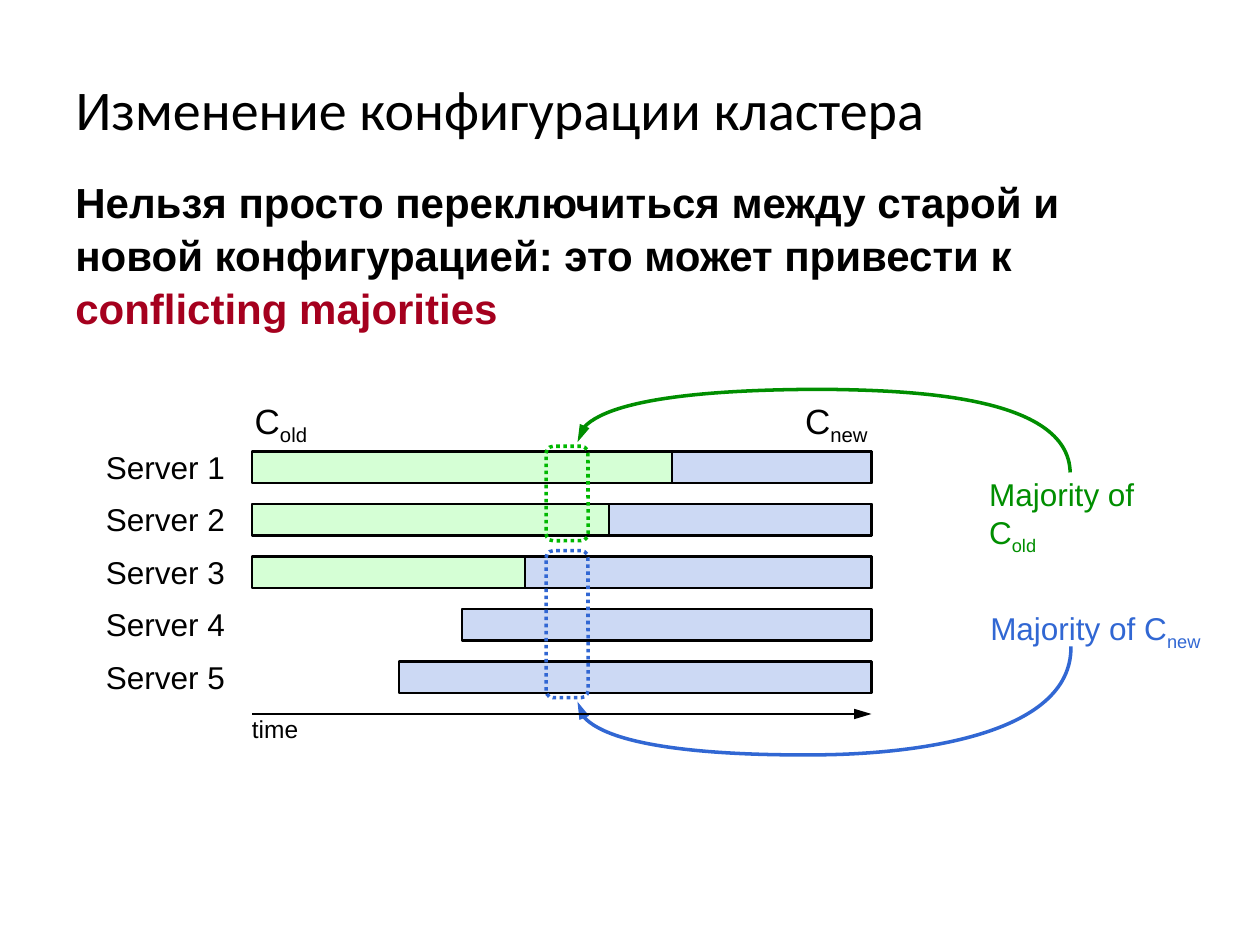
"""Build the slide on changing a cluster configuration."""
from pptx import Presentation
from pptx.dml.color import RGBColor as Rgb
from pptx.enum.dml import MSO_LINE as Dash
from pptx.enum.shapes import MSO_CONNECTOR as Link, MSO_SHAPE as Form
from pptx.enum.text import MSO_ANCHOR as Anchor, PP_ALIGN as Align
from pptx.oxml.ns import qn
from pptx.util import Pt
from lxml.etree import SubElement as Sub

HUES = {
    "black": "000000", "red": "A5001E", "mint": "D5FFD5", "pale": "CCD9F4",
    "blue": "3167D3", "lime": "00B800", "green": "008E00",
}
TITLE = "Изменение конфигурации кластера"
LEAD = [
    ("Нельзя просто переключиться между старой и новой конфигурацией: "
     "это может привести к ", "black"),
    ("conflicting majorities", "red"),
]
SERVERS = [
    ("Server 1", 384, True), ("Server 2", 348, True), ("Server 3", 300, True),
    ("Server 4", 264, False), ("Server 5", 228, False),
]
LABELS = [
    ("C", "old", (145.5, 228, 32, 27), 20, "black", False),
    ("C", "new", (460, 228, 38, 27), 20, "black", False),
    ("Majority of C", "old", (565.2, 271.5, 95, 46), 18, "green", True),
    ("Majority of C", "new", (565.9, 348, 122, 25), 18, "blue", False),
    ("time", "", (144, 408, 30, 17), 14, "black", False),
]
RINGS = [((312, 314.7, 24, 84), "blue"), ((312, 255, 24, 54), "lime")]
CURVES = [
    ("green", (611.5, 270), [
        [(610.6, 226), (520.5, 223.2), (471.6, 222.5)],
        [(423.4, 222.5), (330, 226), (330, 252.7)]]),
    ("blue", (612, 369.4), [
        [(612.7, 421), (520.5, 430.5), (471.6, 431.3)],
        [(422, 432), (330, 428.4), (330, 401)]]),
]
LEFT, RIGHT, TOP, STEP, THICK = 144, 498, 258, 30, 18
FLAT = dict.fromkeys(
    ("margin_left", "margin_top", "margin_right", "margin_bottom"), 0)


def apply(obj, **vals):
    for key, val in vals.items():
        setattr(obj, key, val)


def hue(name):
    return Rgb.from_string(HUES[name])


def write(para, text, size, tint, face="Arial", bold=False, low=False):
    run = para.add_run()
    run.text = text
    apply(run.font, name=face, size=Pt(size), bold=bold)
    run.font.color.rgb = hue(tint)
    if low:
        run._r.get_or_add_rPr().set("baseline", "-25000")


def stroke(shape, tint, width, arrow=False):
    shape.line.color.rgb = hue(tint)
    shape.line.width = Pt(width)
    if arrow:
        Sub(shape.line._get_or_add_ln(), qn("a:tailEnd"),
            type="triangle", w="med", len="lg")


def draw(shapes, form, box, tint, width, fill=None):
    shape = shapes.add_shape(form, *map(Pt, box))
    shape.shadow.inherit = False
    stroke(shape, tint, width)
    if fill:
        shape.fill.solid()
        shape.fill.fore_color.rgb = hue(fill)
    else:
        shape.fill.background()
    return shape


def label(shapes, text, sub, box, size, tint, wrap=False):
    frame = shapes.add_textbox(*map(Pt, box)).text_frame
    apply(frame, word_wrap=wrap, **FLAT)
    write(frame.paragraphs[0], text, size, tint)
    if sub:
        write(frame.paragraphs[0], sub, size, tint, low=True)


def curve(shapes, tint, start, parts):
    pen = shapes.build_freeform(*map(Pt, start))
    pen.add_line_segments([tuple(map(Pt, part[-1])) for part in parts],
                          close=False)
    shape = pen.convert_to_shape()
    shape.shadow.inherit = False
    shape.fill.background()
    stroke(shape, tint, 2, True)
    for seg, part in zip(list(shape._element.iter(qn("a:lnTo"))), parts):
        bend = seg.makeelement(qn("a:cubicBezTo"), {})
        for x, y in part:
            Sub(bend, qn("a:pt"), x=str(Pt(x) - shape.left),
                y=str(Pt(y) - shape.top))
        seg.getparent().replace(seg, bend)


def main():
    deck = Presentation()
    apply(deck, slide_width=Pt(720), slide_height=Pt(540))
    slide = deck.slides.add_slide(deck.slide_layouts[5])
    shapes = slide.shapes

    head = shapes.title
    apply(head, left=Pt(36), top=Pt(38), width=Pt(648), height=Pt(48))
    head.text_frame.vertical_anchor = Anchor.MIDDLE
    para = head.text_frame.paragraphs[0]
    para.alignment = Align.LEFT
    write(para, TITLE, 32, "black", "Calibri")

    frame = shapes.add_textbox(Pt(36), Pt(96), Pt(648), Pt(100)).text_frame
    frame.word_wrap = True
    para = frame.paragraphs[0]
    para.line_spacing = 1.05
    for text, tint in LEAD:
        write(para, text, 24, tint, bold=True)

    for row, (name, switch, old) in enumerate(SERVERS):
        y = TOP + row * STEP
        if old:
            draw(shapes, Form.RECTANGLE, (LEFT, y, RIGHT - LEFT, THICK),
                 "black", 1.5, "mint")
        draw(shapes, Form.RECTANGLE, (switch, y, RIGHT - switch, THICK),
             "black", 1.5, "pale")
        label(shapes, name, "", (60.5, y - 2, 68, 22), 18, "black")

    for box, tint in RINGS:
        ring = draw(shapes, Form.ROUNDED_RECTANGLE, box, tint, 2)
        ring.line.dash_style = Dash.ROUND_DOT
    for item in LABELS:
        label(shapes, *item)
    for item in CURVES:
        curve(shapes, *item)

    axis = shapes.add_connector(Link.STRAIGHT, Pt(LEFT), Pt(408),
                                Pt(RIGHT), Pt(408))
    stroke(axis, "black", 1.5, True)
    Sub(axis._element.spPr, qn("a:effectLst"))
    deck.save("out.pptx")


if __name__ == "__main__":
    main()
